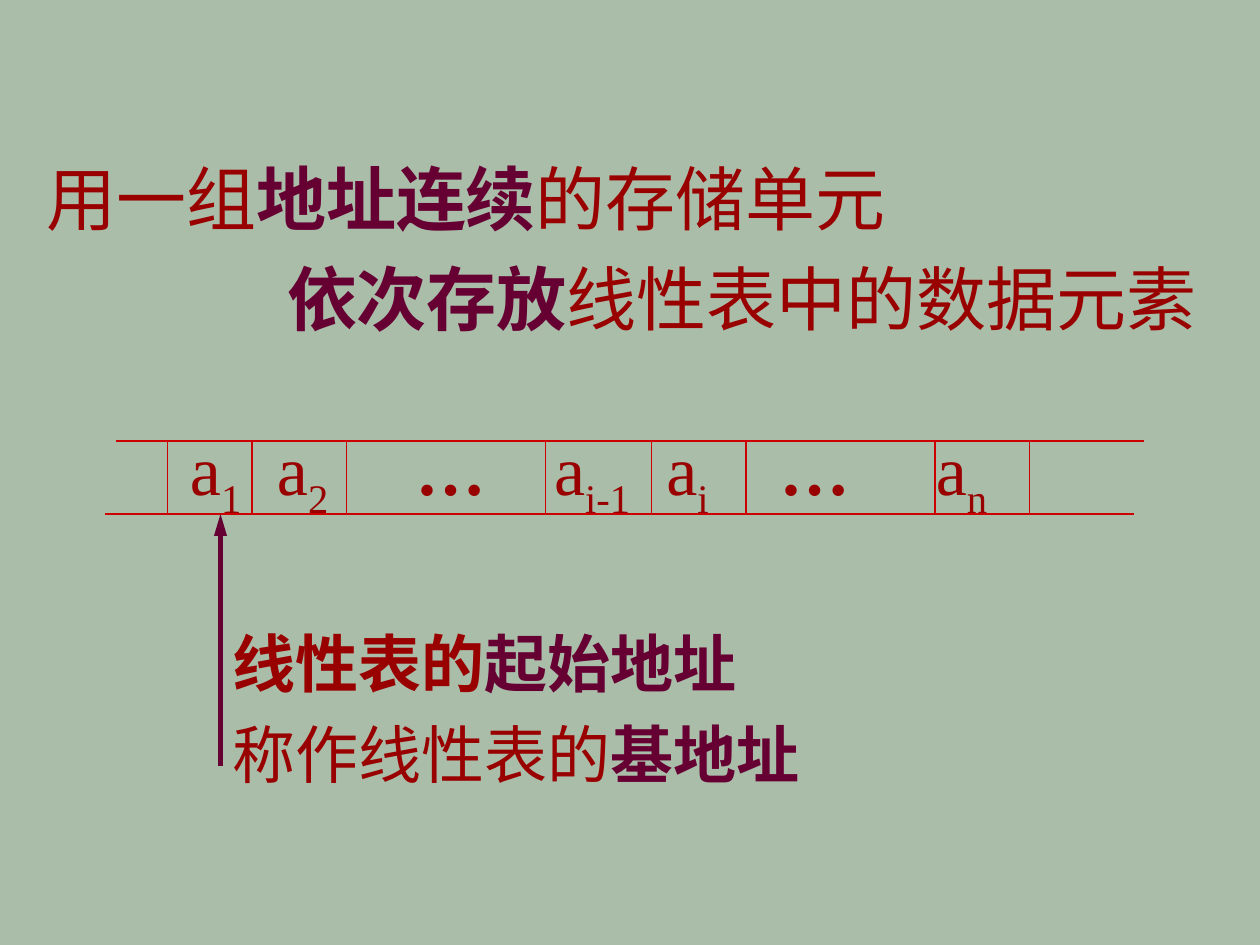
import dataclasses
import typing

import pptx
import pptx.dml.color
import pptx.enum.shapes
import pptx.oxml
import pptx.oxml.ns
import pptx.util
from pptx.util import Inches

COLORS = {"back": "A9BDA9", "text": "990000", "strong": "660033", "grid": "CC0000"}
FONT = "Times New Roman"


@dataclasses.dataclass
class Span:
    text: str
    color: str = "text"
    bold: bool = False
    subscript: bool = False


@dataclasses.dataclass
class Line:
    spans: list[Span]
    indent: float = 0


@dataclasses.dataclass
class Element:
    left: float
    name: str
    subscript: str = ""


def rgb(name: str) -> pptx.dml.color.RGBColor:
    return pptx.dml.color.RGBColor.from_string(COLORS[name])


def add_text(page: typing.Any, lines: list[Line], *, left: float, top: float,
             width: float, height: float, size: float, spacing: float = 1) -> None:
    """Add a text box with one paragraph per line."""
    box = page.shapes.add_textbox(*map(Inches, (left, top, width, height)))
    frame = box.text_frame
    frame.word_wrap = True
    for index, line in enumerate(lines):
        para = frame.add_paragraph() if index else frame.paragraphs[0]
        para.line_spacing = spacing
        properties = para._p.get_or_add_pPr()
        properties.set("marL", str(Inches(line.indent)))
        properties.set("indent", "0")
        for span in line.spans:
            run = para.add_run()
            run.text = span.text
            run.font.name = FONT
            run.font.size = pptx.util.Pt(size)
            run.font.bold = span.bold
            run.font.color.rgb = rgb(span.color)
            if span.subscript:
                run._r.get_or_add_rPr().set("baseline", "-25000")


def add_line(page: typing.Any, start: tuple[float, float], end: tuple[float, float],
             *, color: str = "grid", weight: float = 0.75, arrow: bool = False) -> None:
    """Add a straight line, with an arrowhead at its end if asked."""
    line = page.shapes.add_connector(
        pptx.enum.shapes.MSO_CONNECTOR.STRAIGHT, *map(Inches, (*start, *end)))
    line.line.color.rgb = rgb(color)
    line.line.width = pptx.util.Pt(weight)
    namespace = pptx.oxml.ns.nsdecls("a")
    if arrow:
        line.line._get_or_add_ln().append(
            pptx.oxml.parse_xml(f'<a:tailEnd {namespace} type="triangle" w="med" len="lg"/>'))
    line._element.spPr.append(pptx.oxml.parse_xml(f"<a:effectLst {namespace}/>"))
    line._element.remove(line._element.find(pptx.oxml.ns.qn("p:style")))


deck = pptx.Presentation()
deck.slide_width, deck.slide_height = Inches(10), Inches(7.5)
page = deck.slides.add_slide(deck.slide_layouts[6])
page.background.fill.solid()
page.background.fill.fore_color.rgb = rgb("back")

# Definition
add_text(page, [
    Line([Span("用一组"), Span("地址连续", "strong", True), Span("的存储单元")], 0.08),
    Line([Span("依次存放", "strong", True), Span("线性表中的数据元素")], 1.99),
], left=0.19, top=1.05, width=9.67, height=2.1, size=40, spacing=1.2)

# Element names
ELEMENTS = [
    Element(1.41, "a", "1"), Element(2.1, "a", "2"), Element(3.2, "…"),
    Element(4.3, "a", "i-1"), Element(5.19, "a", "i"), Element(6.09, "…"),
    Element(7.33, "a", "n"),
]
for element in ELEMENTS:
    spans = [Span(element.name, bold=not element.subscript)]
    if element.subscript:
        spans.append(Span(element.subscript, subscript=True))
    add_text(page, [Line(spans)], left=element.left, top=3.33,
             width=1.1, height=0.75, size=40)

# Base address
add_text(page, [
    Line([Span("线性表的", bold=True), Span("起始地址", "strong", True)]),
    Line([Span("称作线性表的"), Span("基地址", "strong", True)]),
], left=1.75, top=4.79, width=4.9, height=1.94, size=36, spacing=1.2)

# Storage cells
TOP, BOTTOM = 3.5, 4.08
add_line(page, (0.92, TOP), (9.08, TOP))
add_line(page, (0.83, BOTTOM), (9, BOTTOM))
for x in (1.33, 2, 2.75, 4.33, 5.17, 5.92, 7.42, 8.17):
    add_line(page, (x, TOP), (x, BOTTOM))
add_line(page, (1.42, BOTTOM), (1.25, BOTTOM))

# Pointer to the first cell
add_line(page, (1.75, 6.08), (1.75, BOTTOM), color="strong", weight=2.5, arrow=True)

deck.save("out.pptx")
